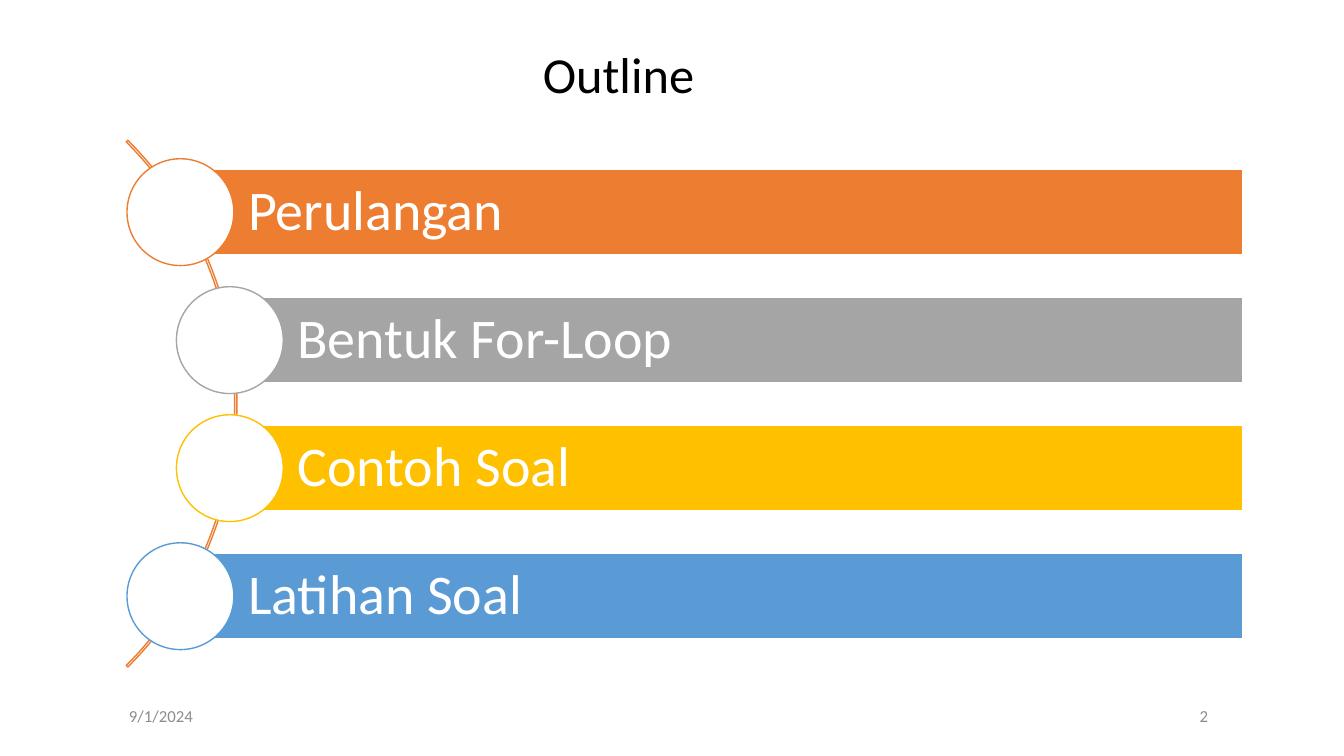
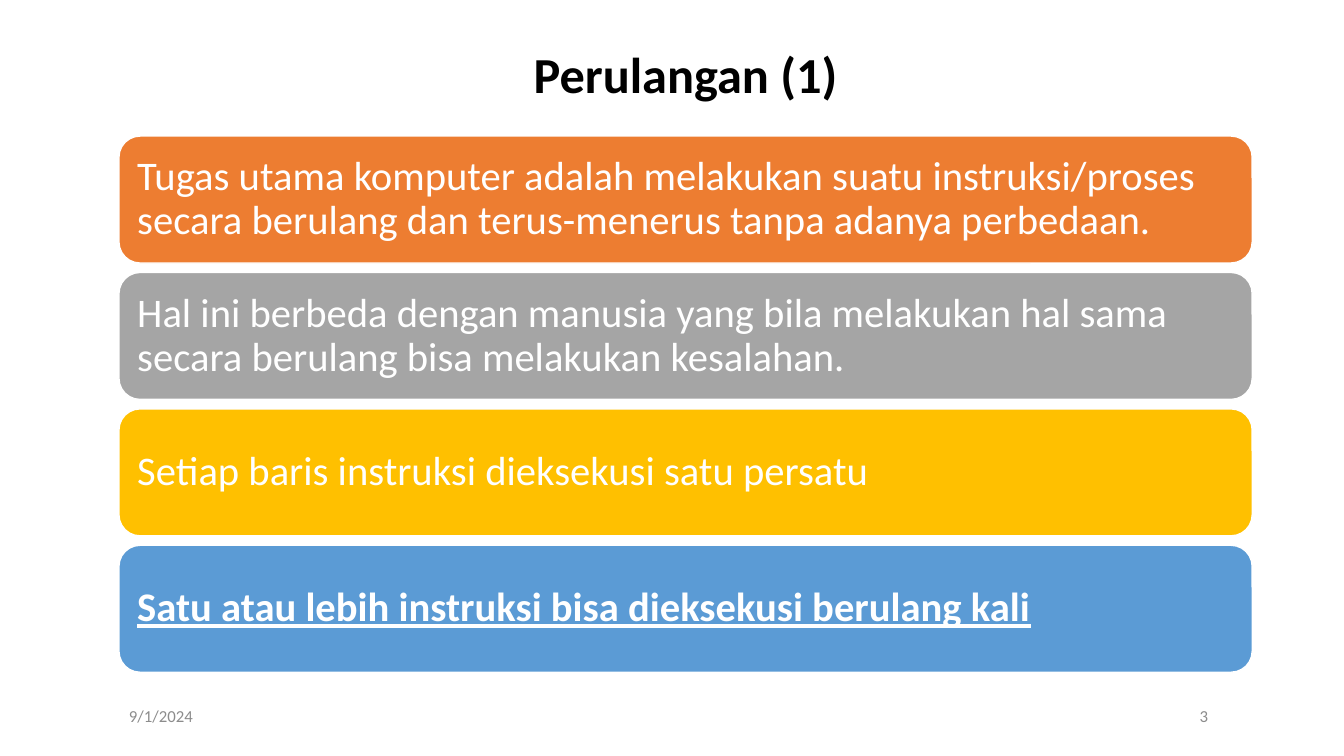
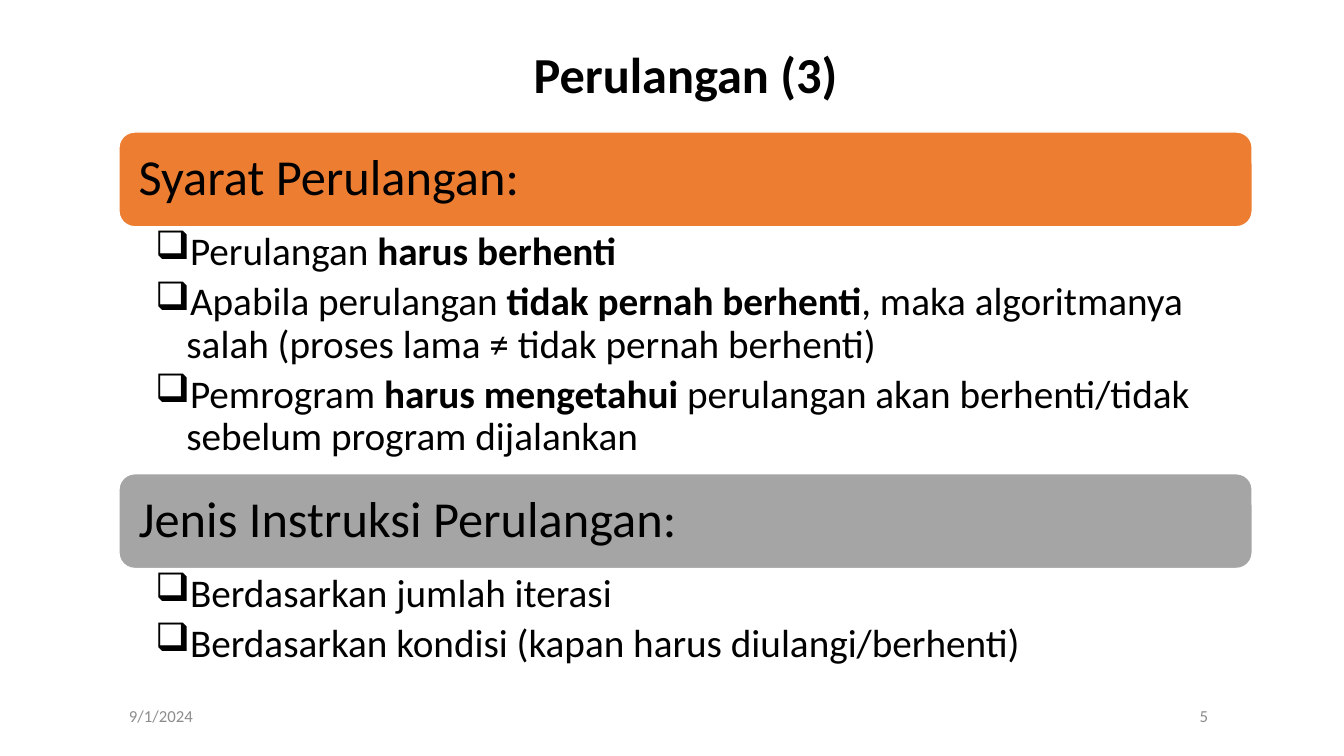
from lxml import etree
from pptx import Presentation
from pptx.dml.color import RGBColor
from pptx.enum.shapes import MSO_SHAPE
from pptx.enum.text import MSO_ANCHOR, PP_ALIGN
from pptx.oxml.ns import qn
from pptx.util import Inches, Pt

ARC, BAR = MSO_SHAPE.BLOCK_ARC, MSO_SHAPE.RECTANGLE
CIRCLE, CARD = MSO_SHAPE.OVAL, MSO_SHAPE.ROUNDED_RECTANGLE
LEFT, CENTER, RIGHT = PP_ALIGN.LEFT, PP_ALIGN.CENTER, PP_ALIGN.RIGHT
TOP, MIDDLE = MSO_ANCHOR.TOP, MSO_ANCHOR.MIDDLE

FONT = "Calibri"
WHITE, BLACK, MUTED = "FFFFFF", "000000", "8C8C8C"
ORANGE, GRAY, GOLD, BLUE = ACCENTS = ("ED7D31", "A5A5A5", "FFC000", "5B9BD5")
BLANK_LAYOUT = 6
MARGIN_LEFT, CONTENT_WIDTH = 1.18, 11.24
TEXT_INSETS = (0.1, 0.05, 0.1, 0.05)
DATE = "9/1/2024"

OUTLINE = ["Perulangan", "Bentuk For-Loop", "Contoh Soal", "Latihan Soal"]
STATEMENTS = [
    "Tugas utama komputer adalah melakukan suatu instruksi/proses secara "
    "berulang dan terus-menerus tanpa adanya perbedaan.",
    "Hal ini berbeda dengan manusia yang bila melakukan hal sama secara "
    "berulang bisa melakukan kesalahan.",
    "Setiap baris instruksi dieksekusi satu persatu",
    "**Satu atau lebih instruksi bisa dieksekusi berulang kali**",
]
SECTIONS = [
    (1.31, 2.44, ORANGE, "Syarat Perulangan:", [
        "Perulangan **harus berhenti**",
        "Apabila perulangan **tidak pernah berhenti**, maka algoritmanya "
        "salah (proses lama ≠ tidak pernah berhenti)",
        "Pemrogram **harus mengetahui **perulangan akan berhenti/tidak "
        "sebelum program dijalankan",
    ]),
    (4.7, 1.06, GRAY, "Jenis Instruksi Perulangan:", [
        "Berdasarkan jumlah iterasi",
        "Berdasarkan kondisi (kapan harus diulangi/berhenti)",
    ]),
]


def rgb(color):
    return RGBColor.from_string(color)


def set_attributes(target, values):
    for name, value in values.items():
        setattr(target, name, value)


def add_bullet(paragraph, indent=0.31):
    properties = paragraph._p.get_or_add_pPr()
    properties.set("marL", str(Inches(indent)))
    properties.set("indent", str(-Inches(indent)))
    etree.SubElement(properties, qn("a:buChar")).set("char", "❑")


def write_text(shape, texts, size, color, align=LEFT, anchor=MIDDLE,
               insets=TEXT_INSETS, spacing=0.9, bullets=False, underline=False):
    """Fill a shape with paragraphs; ** switches bold on and off."""
    frame = shape.text_frame
    sides = ("margin_left", "margin_top", "margin_right", "margin_bottom")
    set_attributes(frame, {"word_wrap": True, "vertical_anchor": anchor})
    set_attributes(frame, dict(zip(sides, map(Inches, insets))))
    for index, text in enumerate(texts):
        paragraph = frame.add_paragraph() if index else frame.paragraphs[0]
        set_attributes(paragraph, {"alignment": align, "line_spacing": spacing})
        if bullets:
            paragraph.space_after = Pt(0.2 * size)
            add_bullet(paragraph)
        for part, words in enumerate(text.split("**")):
            if words:
                run = paragraph.add_run()
                run.text = words
                set_attributes(run.font, {
                    "name": FONT, "size": Pt(size), "bold": part % 2 == 1,
                    "underline": underline})
                run.font.color.rgb = rgb(color)


def add_text(slide, box, texts, size, color, **text_format):
    shape = slide.shapes.add_textbox(*map(Inches, box))
    write_text(shape, texts, size, color, **text_format)


def add_shape(slide, kind, box, fill, line=WHITE):
    shape = slide.shapes.add_shape(kind, *map(Inches, box))
    shape.shadow.inherit = False
    if fill:
        shape.fill.solid()
        shape.fill.fore_color.rgb = rgb(fill)
    else:
        shape.fill.background()
    shape.line.color.rgb = rgb(line)
    shape.line.width = Pt(1)
    return shape


def add_slide(presentation, title, number, title_width=CONTENT_WIDTH):
    """Add a slide with the shared title, date and slide number."""
    slide = presentation.slides.add_slide(presentation.slide_layouts[BLANK_LAYOUT])
    add_text(slide, (MARGIN_LEFT, 0.4, title_width, 0.74), [title], 36, BLACK,
             align=CENTER)
    add_text(slide, (MARGIN_LEFT, 6.9, 1.51, 0.4), [DATE], 12, MUTED, spacing=1.0)
    add_text(slide, (2.75, 6.9, 9.33, 0.4), [str(number)], 12, MUTED,
             align=RIGHT, spacing=1.0)
    return slide


def add_outline(slide):
    arc = add_shape(slide, ARC, (-5.04, 0.31, 7.39, 7.39), None, ORANGE)
    for index, value in enumerate((189, 27, 0.003)):
        arc.adjustments[index] = value
    bar_height, diameter, right = 0.85, 1.06, 12.33
    lefts = (1.79, 2.28, 2.28, 1.79)
    for row, (topic, color, left) in enumerate(zip(OUTLINE, ACCENTS, lefts)):
        top = 1.68 + row * 1.27
        bar = add_shape(slide, BAR, (left, top, right - left, bar_height), color)
        write_text(bar, [topic], 40, WHITE, insets=(0.67, 0.11, 0.11, 0.11))
        circle_top = top - (diameter - bar_height) / 2
        add_shape(slide, CIRCLE, (left - diameter / 2, circle_top, diameter, diameter),
                  WHITE, color)


def add_statements(slide):
    first_top, last_top = 1.35, 5.41
    step = (last_top - first_top) / (len(STATEMENTS) - 1)
    for row, (statement, color) in enumerate(zip(STATEMENTS, ACCENTS)):
        box = (MARGIN_LEFT, first_top + row * step, CONTENT_WIDTH, 1.26)
        card = add_shape(slide, CARD, box, color)
        write_text(card, [statement], 29, WHITE, insets=(0.12,) * 4,
                   underline=statement.startswith("**"))


def add_section(slide, top, list_height, color, heading, items):
    heading_height = 0.94
    card = add_shape(slide, CARD, (MARGIN_LEFT, top, CONTENT_WIDTH, heading_height),
                     color)
    write_text(card, [heading], 36, BLACK, insets=(0.15,) * 4)
    add_text(slide, (MARGIN_LEFT, top + heading_height, CONTENT_WIDTH, list_height),
             items, 28, BLACK, anchor=TOP, insets=(0.36, 0.05, 0.28, 0.05),
             bullets=True)


def main():
    presentation = Presentation()
    presentation.slide_width = Inches(13.33)
    presentation.slide_height = Inches(7.5)
    add_outline(add_slide(presentation, "Outline", 2, title_width=9.91))
    add_statements(add_slide(presentation, "**Perulangan (1)**", 3))
    conditions = add_slide(presentation, "**Perulangan (3)**", 5)
    for section in SECTIONS:
        add_section(conditions, *section)
    presentation.save("out.pptx")


if __name__ == "__main__":
    main()
